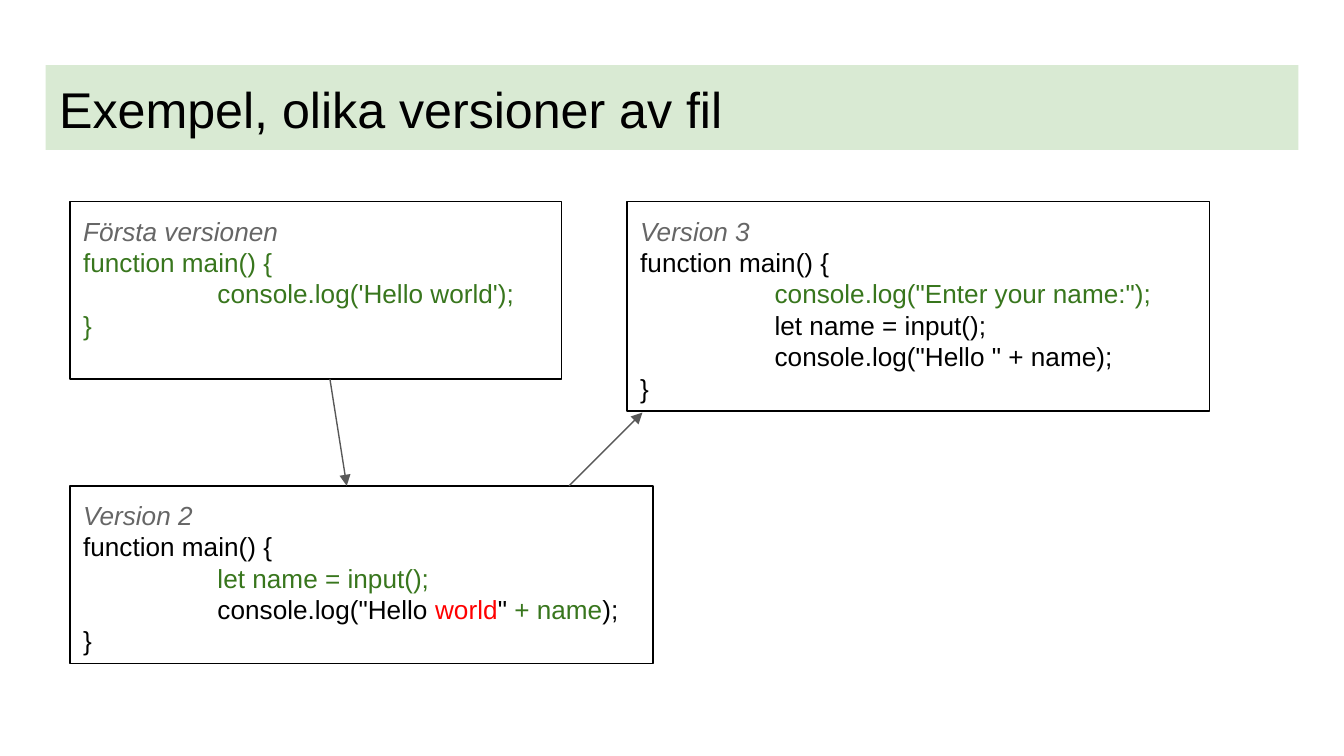
from typing import NamedTuple

from lxml.etree import SubElement
from pptx import Presentation
from pptx.dml.color import RGBColor
from pptx.enum.shapes import MSO_CONNECTOR as Connector, MSO_SHAPE as Shape
from pptx.enum.text import MSO_ANCHOR as Anchor, MSO_AUTO_SIZE as AutoSize, PP_ALIGN as Align
from pptx.oxml.ns import qn
from pptx.util import Emu, Pt

PX = 4572  # 200 px to the inch
FONT = "Arial"
BLACK = RGBColor(0x00, 0x00, 0x00)
GREY = RGBColor(0x66, 0x66, 0x66)
GREEN = RGBColor(0x38, 0x76, 0x1D)
RED = RGBColor(0xFF, 0x00, 0x00)
ARROW_GREY = RGBColor(0x58, 0x58, 0x58)
TITLE_GREEN = RGBColor(0xD9, 0xEA, 0xD3)


class Span(NamedTuple):
    text: str
    color: RGBColor = BLACK


class Version(NamedTuple):
    heading: str
    left: int
    top: int
    width: int
    height: int
    text_height: int
    code: list[list[Span]]


class Arrow(NamedTuple):
    start: tuple[int, int]
    end: tuple[int, int]


OPENING = [Span("function main() {")]
CLOSING = [Span("}")]

VERSIONS = [
    Version("Första versionen", 104, 300, 732, 264, 216, [
        [Span("function main() {", GREEN)],
        [Span("\tconsole.log('Hello world');", GREEN)],
        [Span("}", GREEN)],
    ]),
    Version("Version 2", 104, 723, 868, 264, 260, [
        OPENING,
        [Span("\t"), Span("let name = input();", GREEN)],
        [Span('\tconsole.log("Hello '), Span("world", RED), Span('"'),
         Span(" + name", GREEN), Span(");")],
        CLOSING,
    ]),
    Version("Version 3", 933, 300, 867, 312, 306, [
        OPENING,
        [Span("\t"), Span('console.log("Enter your name:");', GREEN)],
        [Span("\tlet name = input();")],
        [Span('\tconsole.log("Hello " + name);')],
        CLOSING,
    ]),
]

ARROWS = [Arrow((491, 564), (516, 723)), Arrow((847, 723), (956, 614))]


def px(*lengths: int) -> list[Emu]:
    return [Emu(length * PX) for length in lengths]


def set_up_frame(frame) -> None:
    frame.word_wrap = True
    frame.auto_size = AutoSize.NONE
    frame.vertical_anchor = Anchor.TOP
    (frame.margin_left, frame.margin_top,
     frame.margin_right, frame.margin_bottom) = px(20, 20, 20, 20)


def add_span(para, span: Span, size: float, italic: bool = False) -> None:
    run = para.add_run()
    run.text = span.text
    run.font.name = FONT
    run.font.size = Pt(size)
    run.font.italic = italic
    run.font.color.rgb = span.color


def set_tab_stop(para, position: int) -> None:
    stops = SubElement(para._p.get_or_add_pPr(), qn("a:tabLst"))
    SubElement(stops, qn("a:tab"), pos=str(position * PX), algn="l")


def add_title(slide, text: str) -> None:
    title = slide.shapes.title
    title.left, title.top, title.width, title.height = px(68, 97, 1864, 126)
    title.fill.solid()
    title.fill.fore_color.rgb = TITLE_GREEN
    set_up_frame(title.text_frame)
    para = title.text_frame.paragraphs[0]
    para.alignment = Align.LEFT
    add_span(para, Span(text), 26.9)


def add_version(slide, version: Version) -> None:
    group = slide.shapes.add_group_shape()
    # Outline
    outline = group.shapes.add_shape(
        Shape.RECTANGLE, *px(version.left, version.top, version.width, version.height))
    outline.shadow.inherit = False
    outline.fill.background()
    outline.line.color.rgb = BLACK
    outline.line.width = Pt(0.75)
    # Heading and code
    box = group.shapes.add_textbox(
        *px(version.left, version.top, version.width, version.text_height))
    frame = box.text_frame
    set_up_frame(frame)
    for index, line in enumerate([[Span(version.heading, GREY)], *version.code]):
        para = frame.add_paragraph() if index else frame.paragraphs[0]
        set_tab_stop(para, 200)
        for span in line:
            add_span(para, span, 14, italic=index == 0)


def add_arrow(slide, arrow: Arrow) -> None:
    line = slide.shapes.add_connector(Connector.STRAIGHT, *px(*arrow.start, *arrow.end))
    line.line.color.rgb = ARROW_GREY
    line.line.width = Pt(0.75)
    SubElement(line.line._get_or_add_ln(), qn("a:tailEnd"), type="triangle")
    SubElement(line._element.spPr, qn("a:effectLst"))


def main() -> None:
    deck = Presentation()
    deck.slide_width, deck.slide_height = px(2000, 1125)
    slide = deck.slides.add_slide(deck.slide_layouts[5])
    add_title(slide, "Exempel, olika versioner av fil")
    for version in VERSIONS:
        add_version(slide, version)
    for arrow in ARROWS:
        add_arrow(slide, arrow)
    deck.save("out.pptx")


if __name__ == "__main__":
    main()
